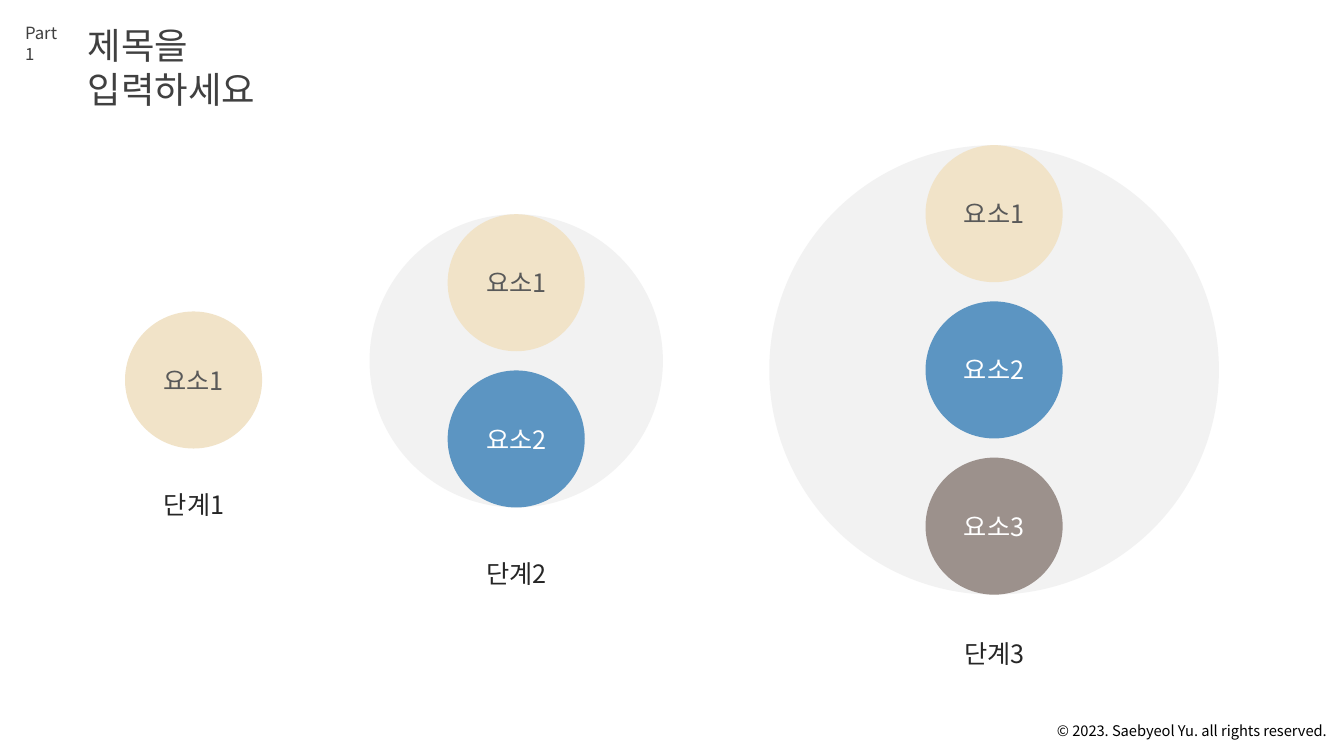
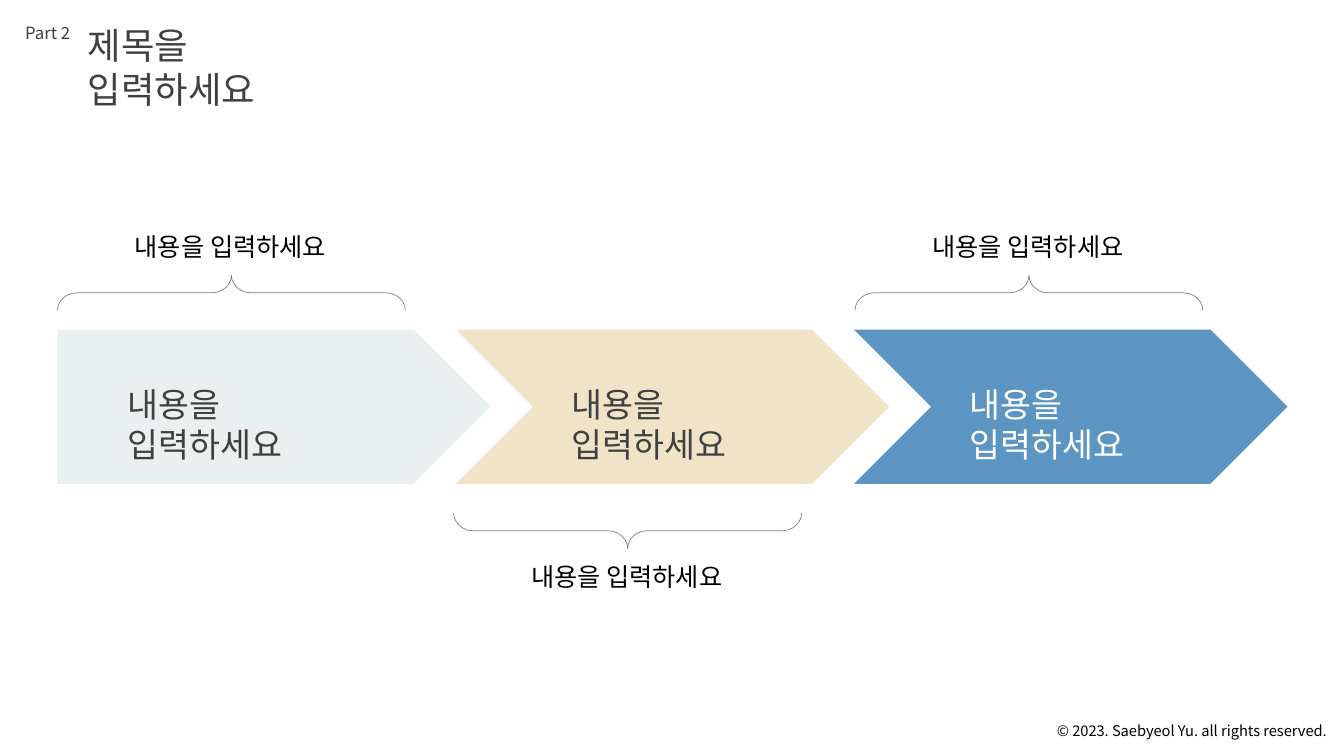
from dataclasses import dataclass

from lxml import etree
from pptx import Presentation
from pptx.dml.color import RGBColor
from pptx.enum import shapes, text
from pptx.oxml import ns
from pptx.util import Inches, Pt


@dataclass(frozen=True)
class Theme:
    font: str = "Noto Sans CJK KR"
    black: str = "000000"
    caption: str = "262626"
    ink: str = "404040"
    soft: str = "595959"
    white: str = "FFFFFF"
    line: str = "808080"
    ring: str = "F2F2F2"
    sand: str = "F1E3C8"
    blue: str = "5C95C2"
    taupe: str = "9C918C"
    mist: str = "EAEFF0"
    title_size: float = 26
    arrow_size: float = 24
    label_size: float = 18
    part_size: float = 12
    footer_size: float = 10.5


T = Theme()
SHAPE = shapes.MSO_SHAPE
ALIGN = text.PP_ALIGN
ANCHOR = text.MSO_ANCHOR

FOOTER = "© 2023. Saebyeol Yu. all rights reserved."
TITLE = "제목을 입력하세요"
PROMPT = "내용을 입력하세요"

ELEMENTS = [
    ("요소1", T.sand, T.soft),
    ("요소2", T.blue, T.white),
    ("요소3", T.taupe, T.white),
]
STAGES = [
    ("단계1", 1, 1.92, 3.77, 4.81),
    ("단계2", 2, 5.12, 3.58, 5.49),
    ("단계3", 3, 9.86, 3.67, 6.28),
]
DIAMETER, GAP = 1.36, 0.19

ARROWS = [
    (SHAPE.PENTAGON, T.mist, T.ink, 0.6, 2.29, "above"),
    (SHAPE.CHEVRON, T.sand, T.ink, 1.05, 6.22, "below"),
    (SHAPE.CHEVRON, T.blue, T.white, 1.05, 10.2, "above"),
]
SIDES = {"above": (90, 2.9, 2.25), "below": (270, 5.26, 5.52)}
ARROW_LEFT, ARROW_STEP = 0.57, 3.95


def write(sp, content, size, color, align=ALIGN.LEFT, anchor=ANCHOR.TOP, inset=(0.1, 0.05)):
    tf = sp.text_frame
    side, edge = map(Inches, inset)
    frame = dict(word_wrap=True, auto_size=text.MSO_AUTO_SIZE.NONE, vertical_anchor=anchor,
                 margin_left=side, margin_right=side, margin_top=edge, margin_bottom=edge)
    for name, value in frame.items():
        setattr(tf, name, value)
    p = tf.paragraphs[0]
    p.alignment = align
    r = p.add_run()
    r.text = content
    for name, value in dict(name=T.font, size=Pt(size), bold=False).items():
        setattr(r.font, name, value)
    r.font.color.rgb = RGBColor.from_string(color)
    etree.SubElement(r.font._element, ns.qn("a:ea"), typeface=T.font)


def add_text(s, box, content, size, color, align=ALIGN.LEFT):
    sp = s.shapes.add_textbox(*map(Inches, box))
    write(sp, content, size, color, align)
    return sp


def add_shape(s, kind, box, fill=None):
    sp = s.shapes.add_shape(kind, *map(Inches, box))
    sp.shadow.inherit = False
    if fill:
        sp.fill.solid()
        sp.fill.fore_color.rgb = RGBColor.from_string(fill)
        sp.line.fill.background()
    else:
        sp.fill.background()
    return sp


def add_circle(s, x, y, diameter, fill):
    box = (x - diameter / 2, y - diameter / 2, diameter, diameter)
    return add_shape(s, SHAPE.OVAL, box, fill)


def add_slide(prs, part, part_width):
    s = prs.slides.add_slide(prs.slide_layouts[5])
    add_text(s, (0.15, 0.18, part_width, 0.3), part, T.part_size, T.ink)
    sp = s.shapes.title
    sp.left, sp.top, sp.width, sp.height = map(Inches, (0.77, 0.18, 2.81, 0.54))
    write(sp, TITLE, T.title_size, T.ink)
    return s


def add_layout_footer(s):
    sp = add_text(s, (10.27, 7.11, 2.99, 0.28), FOOTER, T.footer_size, T.black, ALIGN.RIGHT)
    s.slide_layout.shapes.element.append(sp.element)


def draw_stages(s):
    for caption, count, x, y, caption_top in STAGES:
        step = DIAMETER + GAP
        if count > 1:
            add_circle(s, x, y, count * step - GAP, T.ring)
        for i, (label, fill, color) in enumerate(ELEMENTS[:count]):
            sp = add_circle(s, x, y + (i - (count - 1) / 2) * step, DIAMETER, fill)
            write(sp, label, T.label_size, color, ALIGN.CENTER, ANCHOR.MIDDLE, (0, 0))
        add_text(s, (x - 0.92, caption_top, 1.85, 0.4), caption,
                 T.label_size, T.caption, ALIGN.CENTER)


def draw_arrows(s):
    for i, (kind, fill, color, indent, brace_x, side) in enumerate(ARROWS):
        left = ARROW_LEFT + i * ARROW_STEP
        add_shape(s, kind, (left, 3.27, 4.3, 1.53), fill)
        add_text(s, (left + indent, 3.76, 2.62, 0.5), PROMPT, T.arrow_size, color)
        rotation, brace_y, label_top = SIDES[side]
        brace = add_shape(s, SHAPE.LEFT_BRACE, (brace_x - 0.17, brace_y - 1.72, 0.35, 3.45))
        brace.rotation = rotation
        brace.adjustments[0] = 0.55
        brace.line.width = Pt(0.5)
        brace.line.color.rgb = RGBColor.from_string(T.line)
        add_text(s, (brace_x - 1.06, label_top, 2.11, 0.4), PROMPT,
                 T.label_size, T.black, ALIGN.CENTER)


def main():
    prs = Presentation()
    prs.slide_width, prs.slide_height = Inches(13.33), Inches(7.5)
    stages = add_slide(prs, "Part 1", 0.63)
    add_layout_footer(stages)
    draw_stages(stages)
    draw_arrows(add_slide(prs, "Part 2", 0.65))
    prs.save("out.pptx")


if __name__ == "__main__":
    main()
